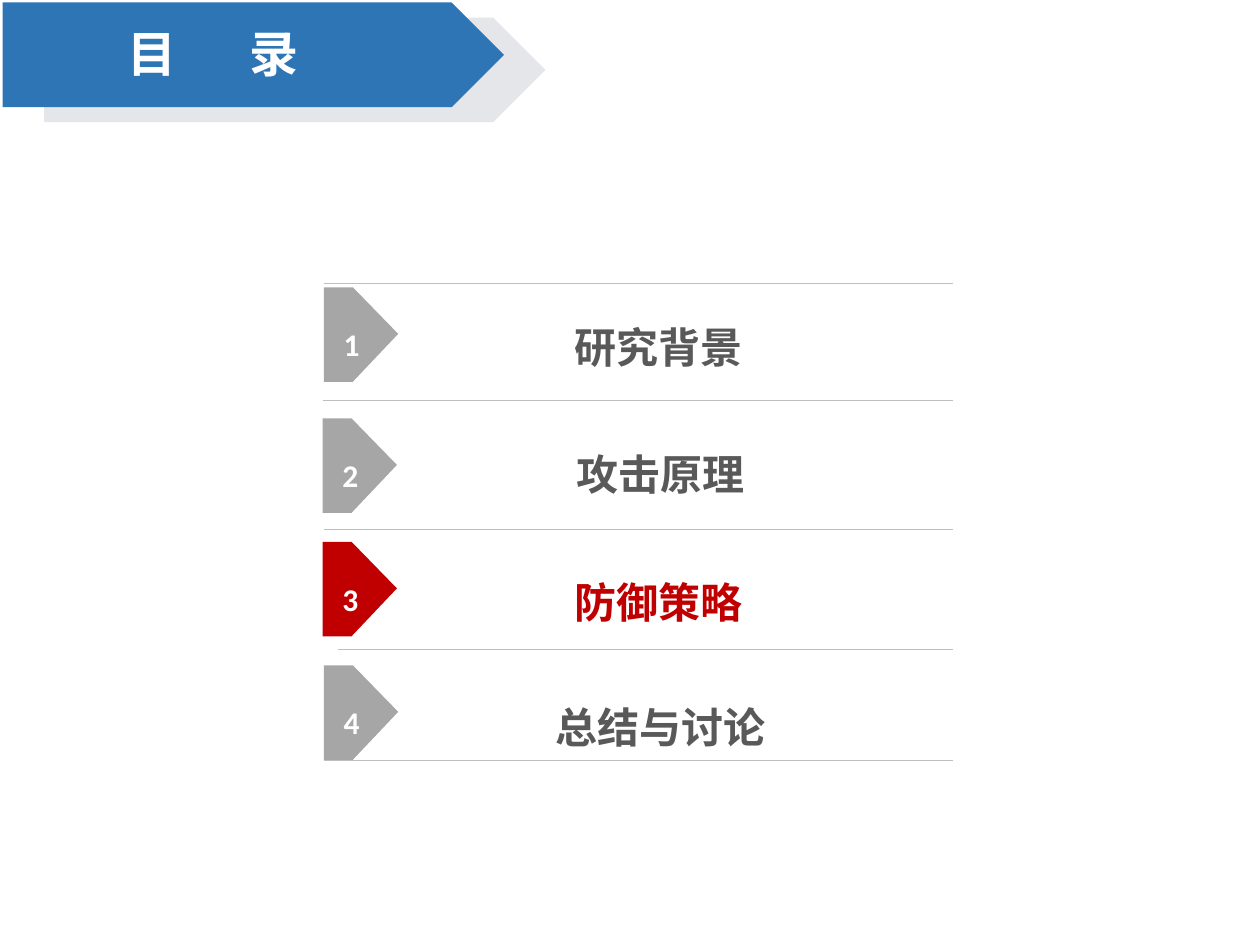
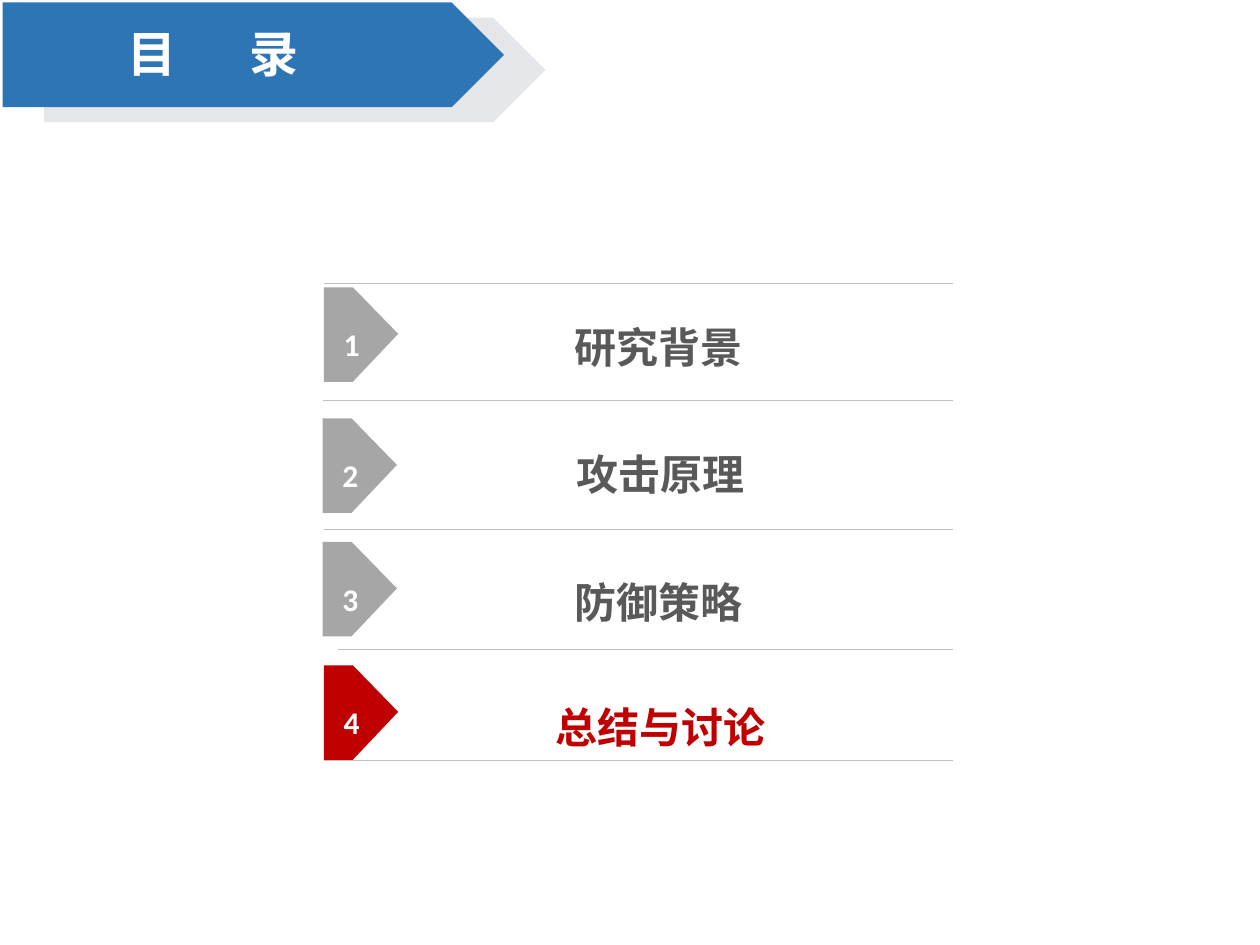
from dataclasses import dataclass

from lxml import etree
from pptx import Presentation
from pptx import util as u
from pptx.dml.color import RGBColor
from pptx.enum import shapes, text
from pptx.oxml.ns import qn

EMU_PER_PX = 9144

BLUE, SLATE, WHITE = "2E75B6", "44546A", "FFFFFF"
GREY, RED, DARK, RULE = "A6A6A6", "C00000", "595959", "BFBFBF"
CJK = "Noto Sans CJK SC"
RULE_RIGHT = 756
TAG_HEIGHT, TAG_SHOULDER, TAG_WIDTH = 75, 23, 59


@dataclass(frozen=True)
class Chapter:
    label: str
    tag_left: int
    tag_top: int
    label_left: int
    label_top: int


@dataclass(frozen=True)
class Rule:
    left: int
    y: int


@dataclass(frozen=True)
class Band:
    left: int
    top: int
    color: str
    opacity: int = 100


CHAPTERS = [
    Chapter("研究背景", 257, 228, 315, 230),
    Chapter("攻击原理", 256, 332, 317, 331),
    Chapter("防御策略", 256, 430, 315, 433),
    Chapter("总结与讨论", 257, 528, 317, 532),
]
RULES = [Rule(257, 225), Rule(256, 318), Rule(257, 420), Rule(268, 515), Rule(257, 603)]
BANDS = [Band(35, 14, SLATE, 14), Band(2, 2, BLUE)]


def px(*lengths: int) -> list[u.Emu]:
    return [u.Emu(n * EMU_PER_PX) for n in lengths]


def rgb(color: str) -> RGBColor:
    return RGBColor.from_string(color)


def fill(sp, color: str, opacity: int = 100) -> None:
    sp.fill.solid()
    sp.fill.fore_color.rgb = rgb(color)
    sp.line.fill.background()
    sp.shadow.inherit = False
    if opacity < 100:
        clr = sp.element.spPr.find(qn("a:solidFill")).find(qn("a:srgbClr"))
        etree.SubElement(clr, qn("a:alpha"), val=str(opacity * 1000))


def style(p, size: int, font: str, color: str, spacing: float = 1.0) -> None:
    p.alignment = text.PP_ALIGN.CENTER
    p.line_spacing = spacing
    p.font.size, p.font.bold = u.Pt(size), True
    p.font.color.rgb = rgb(color)
    p.font.name = font
    defaults = p._p.pPr.find(qn("a:defRPr"))
    etree.SubElement(defaults, qn("a:ea"), typeface=CJK)


def add_bands(layout, s) -> None:
    for index, band in enumerate(BANDS):
        sp = s.shapes.add_shape(shapes.MSO_SHAPE.PENTAGON, *px(band.left, band.top, 398, 83))
        fill(sp, band.color, band.opacity)
        layout.shapes.element.insert(2 + index, sp.element)


def set_title(s) -> None:
    sp = s.shapes.title
    sp.left, sp.top, sp.width, sp.height = px(70, 14, 198, 57)
    tf = sp.text_frame
    tf.word_wrap = True
    tf.auto_size = text.MSO_AUTO_SIZE.SHAPE_TO_FIT_TEXT
    tf.vertical_anchor = text.MSO_ANCHOR.TOP
    p = tf.paragraphs[0]
    style(p, 28, "Times New Roman", WHITE)
    for part in ("目", " ", "录"):
        r = p.add_run()
        r.text = part
        if part == " ":
            r._r.get_or_add_rPr().set("spc", "3500")


def add_rule(s, rule: Rule) -> None:
    line = s.shapes.add_connector(
        shapes.MSO_CONNECTOR.STRAIGHT, *px(rule.left, rule.y, RULE_RIGHT, rule.y))
    line.line.color.rgb = rgb(RULE)
    line.line.width = u.Pt(0.25)
    etree.SubElement(line.element.spPr, qn("a:effectLst"))


def add_tag(s, chapter: Chapter, number: int, color: str) -> None:
    x, y = chapter.tag_left, chapter.tag_top
    shoulder, bottom = x + TAG_SHOULDER, y + TAG_HEIGHT
    outline = s.shapes.build_freeform(x, y, scale=EMU_PER_PX)
    outline.add_line_segments([
        (shoulder, y), (x + TAG_WIDTH, y + TAG_HEIGHT // 2), (shoulder, bottom), (x, bottom)])
    sp = outline.convert_to_shape()
    fill(sp, color)
    tf = sp.text_frame
    tf.margin_left, tf.margin_top, tf.margin_right, tf.margin_bottom = px(0, 0, 15, 0)
    tf.vertical_anchor = text.MSO_ANCHOR.MIDDLE
    p = tf.paragraphs[0]
    p.text = str(number)
    style(p, 18, "Calibri", WHITE, 1.5)


def add_label(s, chapter: Chapter, color: str) -> None:
    sp = s.shapes.add_textbox(*px(chapter.label_left, chapter.label_top, 415, 64))
    tf = sp.text_frame
    tf.word_wrap = True
    tf.auto_size = text.MSO_AUTO_SIZE.SHAPE_TO_FIT_TEXT
    p = tf.paragraphs[0]
    p.text = chapter.label
    style(p, 24, CJK, color, 1.5)


def fill_contents(s, current: int) -> None:
    set_title(s)
    for rule in RULES:
        add_rule(s, rule)
    for number, chapter in enumerate(CHAPTERS, 1):
        active = number == current
        add_tag(s, chapter, number, RED if active else GREY)
        add_label(s, chapter, RED if active else DARK)


def main() -> None:
    prs = Presentation()
    prs.slide_width, prs.slide_height = px(1000, 750)
    layout = prs.slide_layouts.get_by_name("Title Only")
    contents = [prs.slides.add_slide(layout) for _ in range(2)]
    add_bands(layout, contents[0])
    for s, current in zip(contents, (3, 4)):
        fill_contents(s, current)
    prs.save("out.pptx")


if __name__ == "__main__":
    main()
